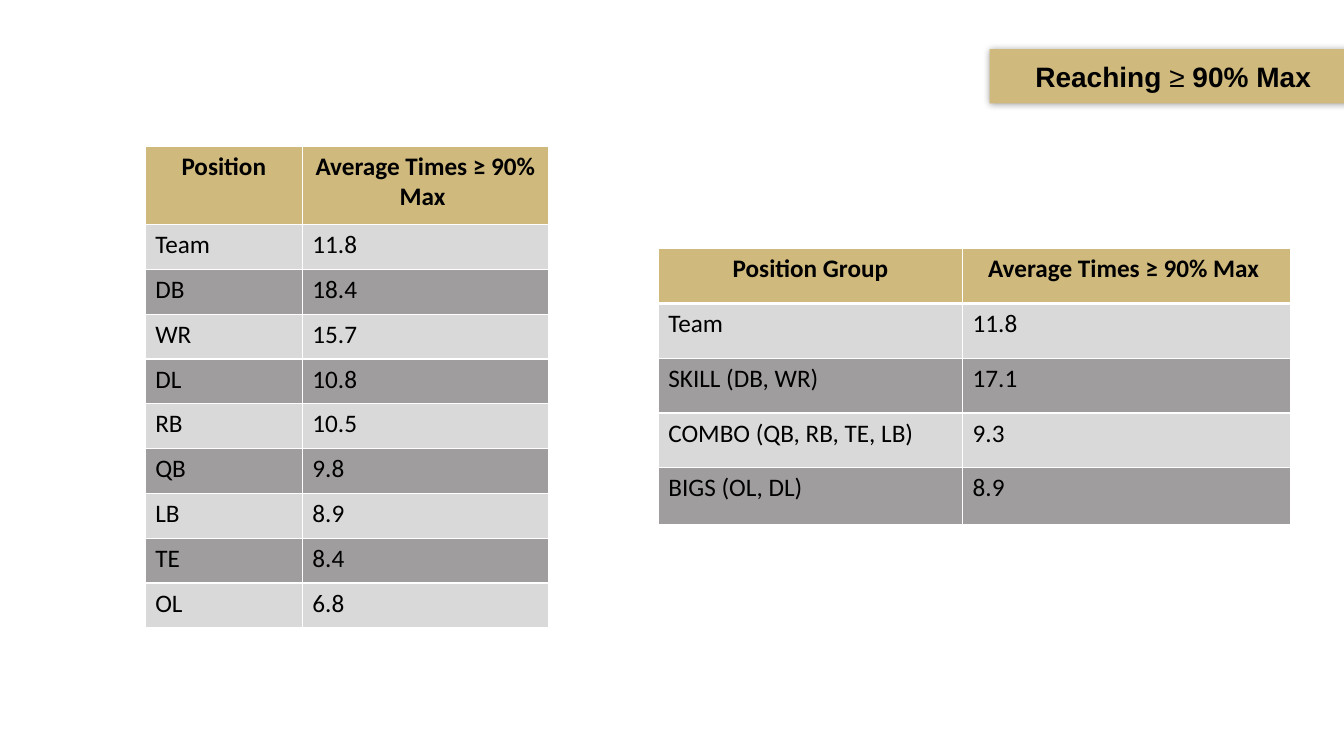
import pptx
import pptx.util
import pptx.dml.color
import pptx.enum.shapes
import pptx.enum.text
import pptx.oxml
import pptx.oxml.ns

Cm, Pt = pptx.util.Cm, pptx.util.Pt
ALIGN = pptx.enum.text.PP_ALIGN
COLORS = {"gold": "CFB97D", "light": "D9D9D9", "dark": "9F9D9E", "line": "FFFFFF", "text": "000000"}
NS = pptx.oxml.ns.nsdecls("a")


def rgb(name):
    return pptx.dml.color.RGBColor.from_string(COLORS[name])


def add_text(paragraph, text, font, size, bold):
    run = paragraph.add_run()
    run.text = text
    run.font.name = font
    run.font.size = Pt(size)
    run.font.bold = bold
    run.font.color.rgb = rgb("text")


deck = pptx.Presentation()
deck.slide_width, deck.slide_height = Cm(33.87), Cm(19.05)
slide = deck.slides.add_slide(deck.slide_layouts[6])

by_position = {
    "corner": (3.66, 3.68), "widths": [3.96, 6.2], "heights": [1.98] + [1.13] * 9, "header_line": 1,
    "rows": [
        ("Position", "Average Times ≥ 90% Max "),
        ("Team", "11.8"), ("DB", "18.4"), ("WR", "15.7"), ("DL", "10.8"), ("RB", "10.5"),
        ("QB", "9.8"), ("LB", "8.9"), ("TE", "8.4"), ("OL", "6.8"),
    ],
}
by_group = {
    "corner": (16.59, 6.27), "widths": [7.67, 8.26], "heights": [1.38] * 4 + [1.44], "header_line": 3,
    "rows": [
        ("Position Group", "Average Times ≥ 90% Max "),
        ("Team", "11.8"), ("SKILL (DB, WR)", "17.1"),
        ("COMBO (QB, RB, TE, LB)", "9.3"), ("BIGS (OL, DL)", "8.9"),
    ],
}

for averages in (by_position, by_group):
    left, top = averages["corner"]
    widths, heights, rows = averages["widths"], averages["heights"], averages["rows"]
    table = slide.shapes.add_table(
        len(rows), len(widths), Cm(left), Cm(top), Cm(sum(widths)), Cm(sum(heights))).table
    for column, width in zip(table.columns, widths):
        column.width = Cm(width)
    for r, (height, row) in enumerate(zip(heights, rows)):
        table.rows[r].height = Cm(height)
        for c, text in enumerate(row):
            cell = table.cell(r, c)
            cell.fill.solid()
            cell.fill.fore_color.rgb = rgb("gold" if r == 0 else "light" if r % 2 else "dark")
            paragraph = cell.text_frame.paragraphs[0]
            paragraph.alignment = ALIGN.CENTER if r == 0 else ALIGN.LEFT
            add_text(paragraph, text, "Calibri", 18, r == 0)
            for i, side in enumerate("LRTB"):
                under_header = (r, side) in ((0, "B"), (1, "T"))
                weight = Pt(averages["header_line"] if under_header else 1)
                cell._tc.get_or_add_tcPr().insert(i, pptx.oxml.parse_xml(
                    f'<a:ln{side} {NS} w="{weight}"><a:solidFill>'
                    f'<a:srgbClr val="{COLORS["line"]}"/></a:solidFill></a:ln{side}>'))

title = slide.shapes.add_shape(
    pptx.enum.shapes.MSO_SHAPE.RECTANGLE, Cm(24.94), Cm(1.24), Cm(9.25), Cm(1.37))
title.fill.solid()
title.fill.fore_color.rgb = rgb("gold")
title.line.fill.background()
title.shadow.inherit = False
title._element.spPr.find(pptx.oxml.ns.qn("a:effectLst")).append(pptx.oxml.parse_xml(
    f'<a:outerShdw {NS} blurRad="{Pt(5)}" dist="0" dir="0" rotWithShape="0">'
    f'<a:srgbClr val="{COLORS["text"]}"><a:alpha val="40000"/></a:srgbClr></a:outerShdw>'))
frame = title.text_frame
frame.word_wrap = True
frame.vertical_anchor = pptx.enum.text.MSO_ANCHOR.MIDDLE
frame.margin_left = frame.margin_right = frame.margin_top = frame.margin_bottom = 0
heading = frame.paragraphs[0]
heading.alignment = ALIGN.CENTER
for text, bold in (("Reaching ", True), ("≥", False), (" 90% Max", True)):
    add_text(heading, text, "Arial", 20, bold)

deck.save("out.pptx")
